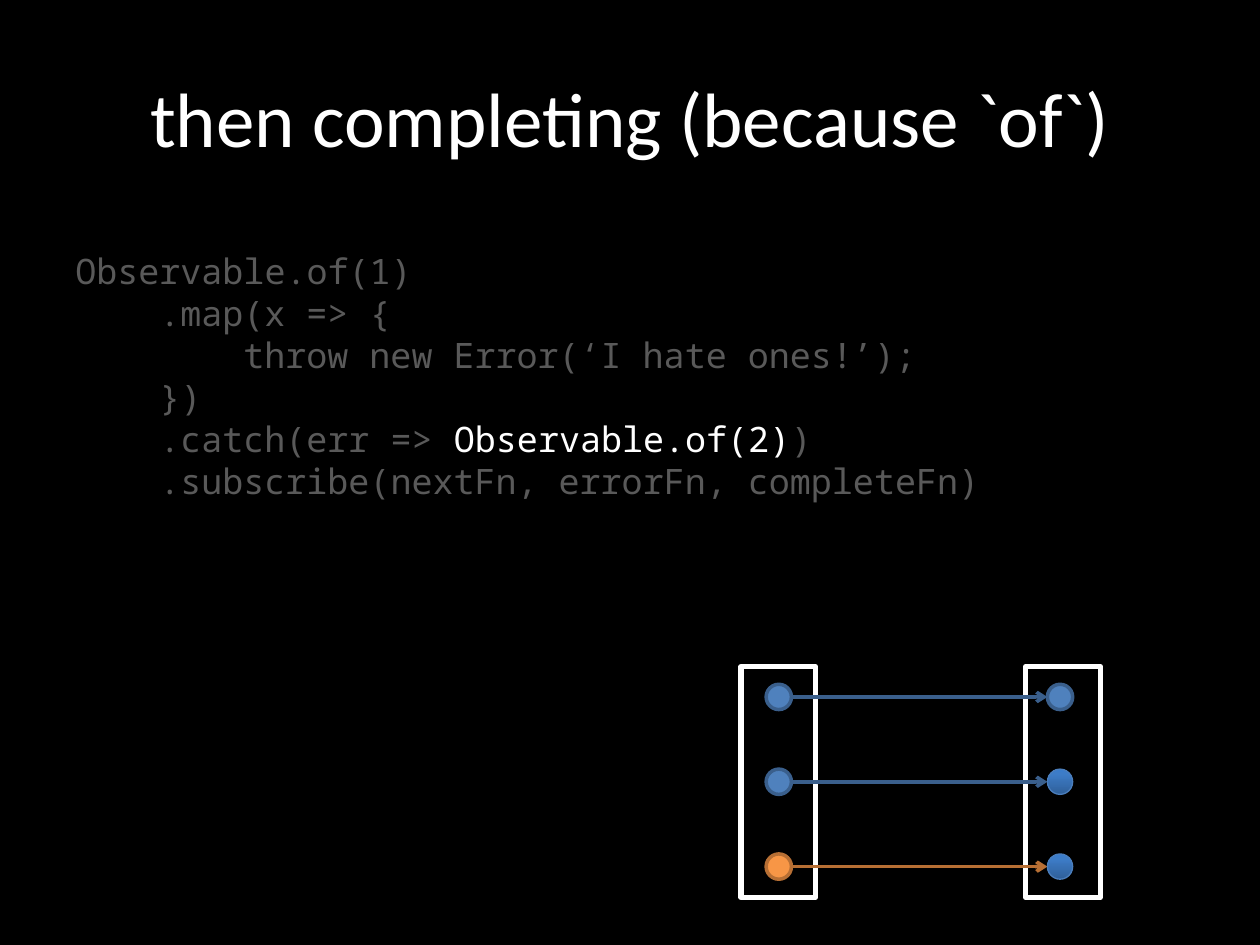
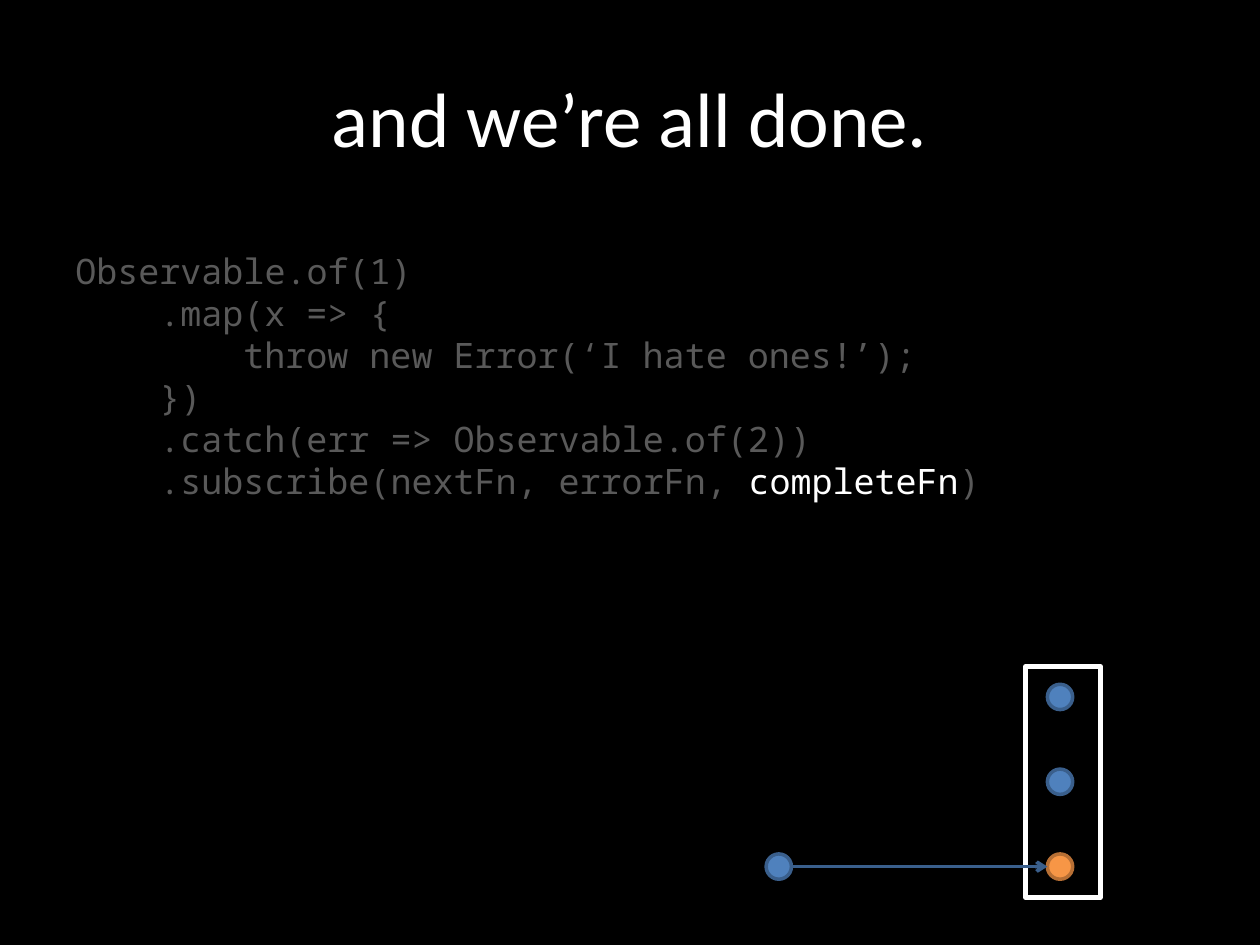
from copy import deepcopy

from lxml import etree
from pptx import Presentation, util as u
from pptx.dml.color import RGBColor
from pptx.enum import shapes, text
from pptx.oxml import ns

COLORS = {
    "black": "000000", "white": "FFFFFF", "dim": "595959",
    "blue": "4F81BD", "blue_edge": "3A5F8C",
    "orange": "F79646", "orange_edge": "B76F34",
    "glow_edge": "4B7EBC",
}
GLOW = [(0, "2F5F99"), (0.8, "3D7CC7"), (1, "3A7CCB")]
CODE = [
    (0, "Observable.of(1)"),
    (1, ".map(x => {"),
    (2, "throw new Error(‘I hate ones!’);"),
    (1, "})"),
    (1, ".catch(err => Observable.of(2))"),
    (1, ".subscribe(nextFn, errorFn, completeFn)"),
]
INDENT = u.Pt(48)
SOURCE_X, TARGET_X = 15.7, 21.37
ROW_Y, ROW_STEP = 14.05, 1.71
DOT = 0.51
BOX_TOP, BOX_W, BOX_H = 13.44, 1.5, 4.65
SOURCE_BOX, TARGET_BOX = 14.94, 20.68


def rgb(name):
    return RGBColor.from_string(COLORS[name])


class Deck:
    def __init__(self):
        self.prs = Presentation()
        self.prs.slide_width, self.prs.slide_height = u.Cm(25.4), u.Cm(19.05)
        self.s = None

    def slide(self, title, lit):
        self.s = self.prs.slides.add_slide(self.prs.slide_layouts[6])
        fill = self.s.background.fill
        fill.solid()
        fill.fore_color.rgb = rgb("black")
        self.title(title)
        self.code(lit)

    def text_box(self, top, height, **formats):
        tf = self.s.shapes.add_textbox(u.Cm(1.27), u.Cm(top), u.Cm(22.86), u.Cm(height)).text_frame
        for key, value in {"word_wrap": True, **formats}.items():
            setattr(tf, key, value)
        return tf

    def run(self, p, words, color, **formats):
        r = p.add_run()
        r.text = words
        for key, value in formats.items():
            setattr(r.font, key, value)
        r.font.color.rgb = rgb(color)

    def title(self, words):
        tf = self.text_box(0.76, 3.18, vertical_anchor=text.MSO_ANCHOR.MIDDLE)
        p = tf.paragraphs[0]
        p.alignment = text.PP_ALIGN.CENTER
        self.run(p, words, "white", name="Calibri", size=u.Pt(44))

    def code(self, lit):
        tf = self.text_box(4.9, 5.38, auto_size=text.MSO_AUTO_SIZE.SHAPE_TO_FIT_TEXT)
        for i, (level, line) in enumerate(CODE):
            p = tf.add_paragraph() if i else tf.paragraphs[0]
            p._p.get_or_add_pPr().set("marL", str(level * INDENT))
            for part, color in zip(line.partition(lit), ("dim", "white", "dim")):
                if part:
                    self.run(p, part, color, name="Noto Sans Mono", size=u.Pt(20))

    def shape(self, kind, left, top, width, height, fill, edge, weight):
        sp = self.s.shapes.add_shape(kind, *map(u.Cm, (left, top, width, height)))
        sp.shadow.inherit = False
        sp.line.color.rgb = rgb(edge)
        sp.line.width = u.Pt(weight)
        if fill == "glow":
            self.glow(sp.fill)
        else:
            sp.fill.solid()
            sp.fill.fore_color.rgb = rgb(fill)

    def glow(self, fill):
        fill.gradient()
        fill.gradient_angle = 90
        last = fill.gradient_stops[1]._gs
        last.addprevious(deepcopy(last))
        for stop, (position, color) in zip(fill.gradient_stops, GLOW):
            stop.position = position
            stop.color.rgb = RGBColor.from_string(color)

    def box(self, left):
        self.shape(shapes.MSO_SHAPE.RECTANGLE, left, BOX_TOP, BOX_W, BOX_H, "black", "white", 3)

    def dot(self, x, row, color="blue"):
        y = ROW_Y + row * ROW_STEP
        self.shape(shapes.MSO_SHAPE.OVAL, x - DOT / 2, y - DOT / 2, DOT, DOT,
                   color, color + "_edge", 0.75 if color == "glow" else 2)

    def arrow(self, row, color="blue"):
        y = u.Cm(ROW_Y + row * ROW_STEP)
        line = self.s.shapes.add_connector(
            shapes.MSO_CONNECTOR.STRAIGHT,
            u.Cm(SOURCE_X + DOT / 2), y, u.Cm(TARGET_X - DOT / 2), y)
        line.line.color.rgb = rgb(color + "_edge")
        line.line.width = u.Pt(2)
        etree.SubElement(line.line._ln, ns.qn("a:tailEnd"), type="arrow")
        etree.SubElement(line._element.spPr, ns.qn("a:effectLst"))

    def send(self, row, color="blue"):
        self.dot(SOURCE_X, row, color)
        self.arrow(row, color)


def main():
    deck = Deck()

    deck.slide("then completing (because `of`)", "Observable.of(2)")
    for left in (TARGET_BOX, SOURCE_BOX):
        deck.box(left)
    for row, (source, target) in enumerate([("blue", "blue"), ("blue", "glow"), ("orange", "glow")]):
        deck.send(row, source)
        deck.dot(TARGET_X, row, target)

    deck.slide("and we’re all done.", "completeFn")
    deck.box(TARGET_BOX)
    for row, target in enumerate(["blue", "blue", "orange"]):
        deck.dot(TARGET_X, row, target)
    deck.send(2)

    deck.prs.save("out.pptx")


if __name__ == "__main__":
    main()
